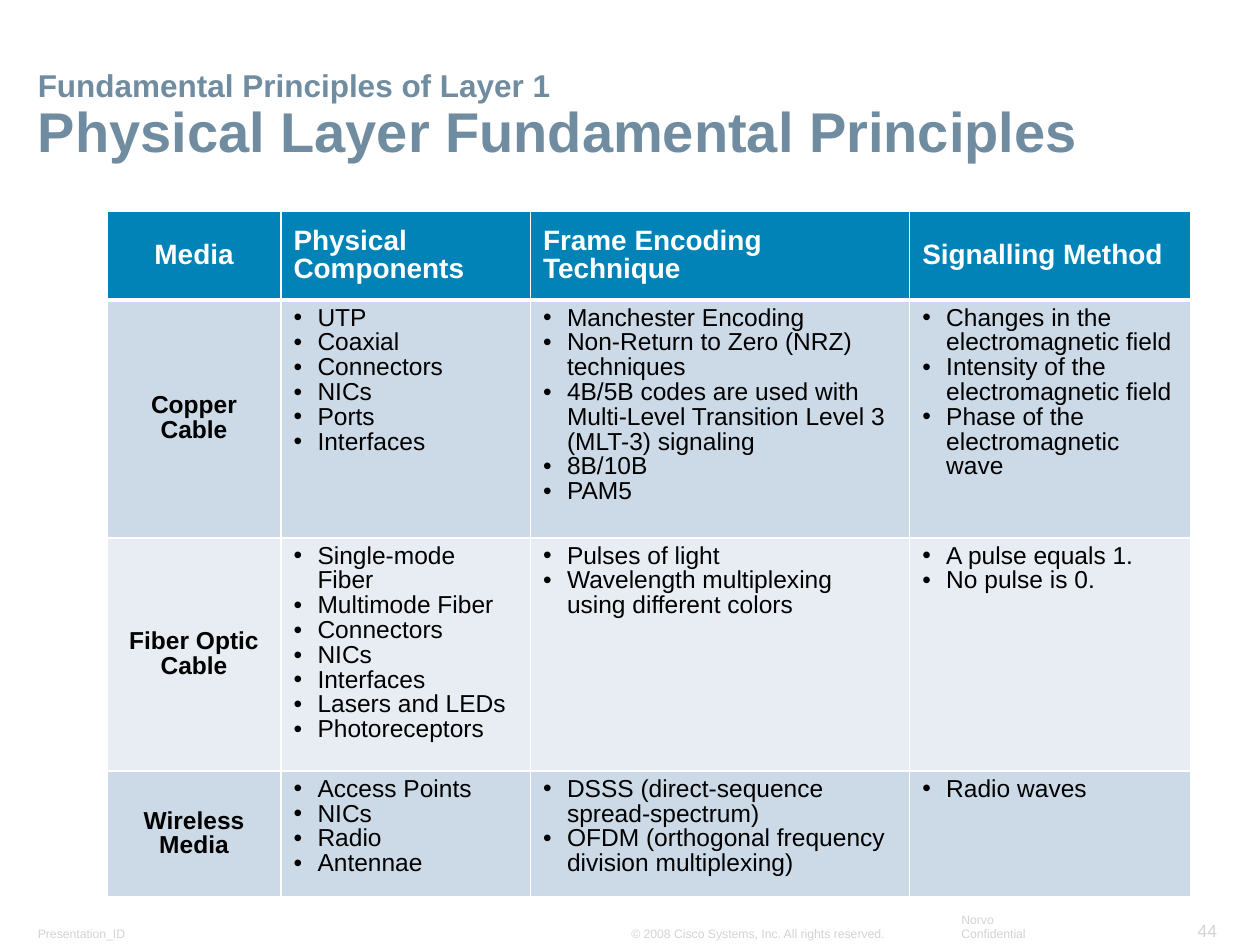
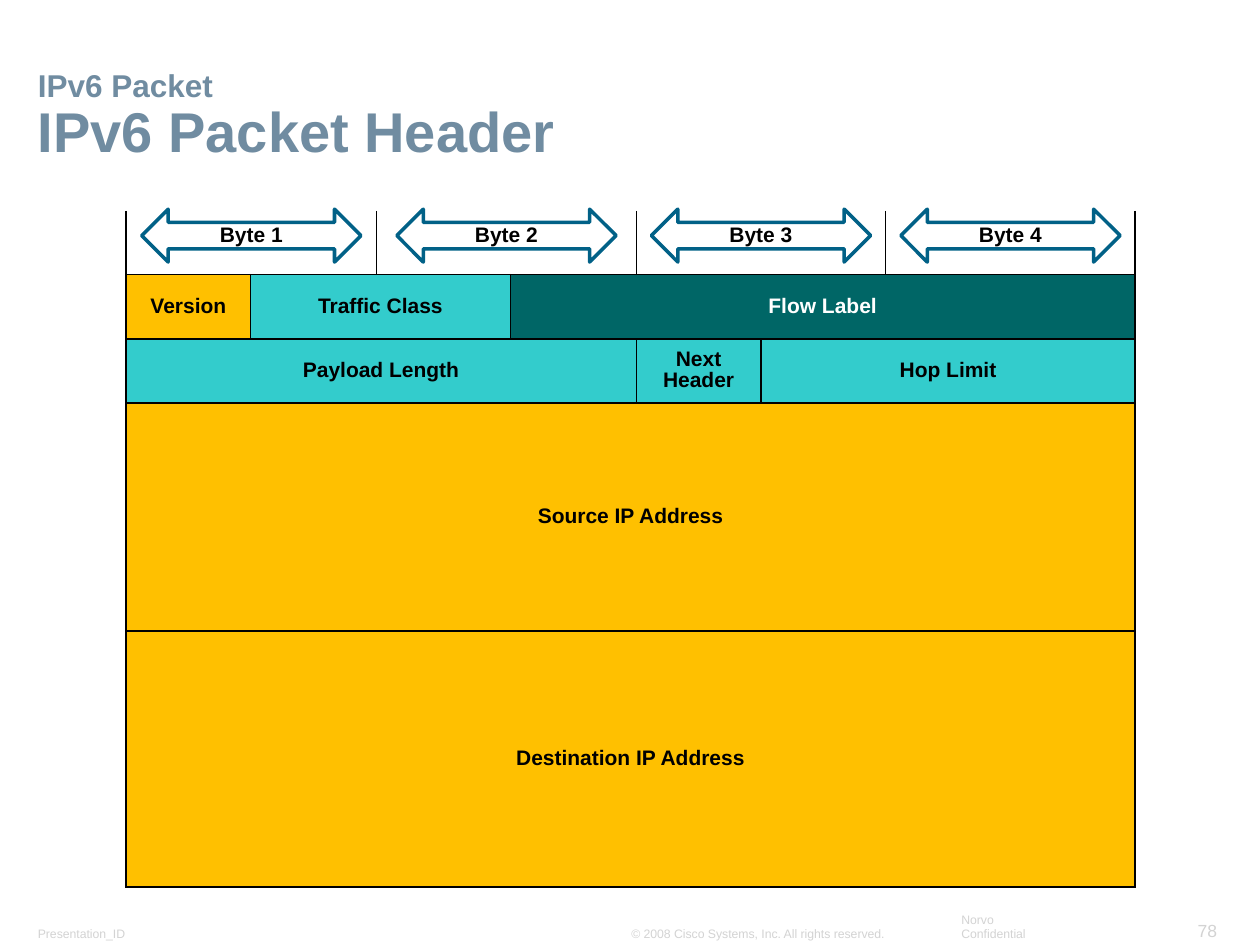
from lxml import etree
from pptx import Presentation
from pptx.dml.color import RGBColor
from pptx.enum import shapes, text
from pptx.oxml.ns import qn
from pptx.util import Inches, Pt

FONT = "Arial"
COLORS = {
    "title": "708CA1", "footer": "D3D3D3", "black": "000000", "white": "FFFFFF",
    "header": "0183B7", "band": "CCD9E6", "light band": "E7EDF3",
    "address": "FFC000", "field": "33CCCC", "flow": "006666", "arrow": "016187",
}
LEFT, CENTER, RIGHT = text.PP_ALIGN.LEFT, text.PP_ALIGN.CENTER, text.PP_ALIGN.RIGHT
MIDDLE, BOTTOM = text.MSO_ANCHOR.MIDDLE, text.MSO_ANCHOR.BOTTOM

# text, box (left, top, width, height), alignment, size
FOOTERS = [
    ("Presentation_ID", (0.21, 7.3, 1.05, 0.21), LEFT, 7),
    ("© 2008 Cisco Systems, Inc. All rights reserved.", (4.92, 7.3, 2.21, 0.21), LEFT, 7),
    ("Norvo Confidential", (7.54, 7.3, 0.96, 0.21), LEFT, 7),
]
PAGE_NUMBER_BOX = (9.4, 7.25, 0.35, 0.26)

MEDIA_COLUMNS = [1.38, 1.98, 3.01, 2.23]
MEDIA_ROWS = [0.7, 1.89, 1.85, 1]
MEDIA_HEADINGS = ["Media", "Physical Components", "Frame Encoding Technique", "Signalling Method"]
MEDIA = [
    ("Copper Cable",
     ["UTP", "Coaxial", "Connectors", "NICs", "Ports", "Interfaces"],
     ["Manchester Encoding", "Non-Return to Zero (NRZ) techniques",
      "4B/5B codes are used with Multi-Level Transition Level 3 (MLT-3) signaling",
      "8B/10B", "PAM5"],
     ["Changes in the electromagnetic field", "Intensity of the electromagnetic field",
      "Phase of the electromagnetic wave"]),
    ("Fiber Optic Cable",
     ["Single-mode Fiber", "Multimode Fiber", "Connectors", "NICs", "Interfaces",
      "Lasers and LEDs", "Photoreceptors"],
     ["Pulses of light", "Wavelength multiplexing using different colors"],
     ["A pulse equals 1.", "No pulse is 0."]),
    ("Wireless Media",
     ["Access Points", "NICs", "Radio", "Antennae"],
     ["DSSS (direct-sequence spread-spectrum)",
      "OFDM (orthogonal frequency division multiplexing)"],
     ["Radio waves"]),
]

PACKET_LEFT = 1
PACKET_COLUMNS = [0.99, 1, 1.06, 1, 0.99, 0.99, 1.98]
PACKET_ROWS = [0.5, 0.51, 0.51, 1.81, 2.03]
BYTE_SPANS = [2, 2, 2, 1]
# label, columns spanned, fill, text colour
PACKET_FIELDS = [
    [("Version", 1, "address", "black"), ("Traffic Class", 2, "field", "black"),
     ("Flow Label", 4, "flow", "white")],
    [("Payload Length", 4, "field", "black"), ("Next Header", 1, "field", "black"),
     ("Hop Limit", 2, "field", "black")],
    [("Source IP Address", 7, "address", "black")],
    [("Destination IP Address", 7, "address", "black")],
]
ARROW_TOP, ARROW_WIDTH, ARROW_HEIGHT = 1.66, 1.74, 0.42


def rgb(name):
    return RGBColor.from_string(COLORS[name])


def style_run(run, size, color, bold=False):
    run.font.name, run.font.size, run.font.bold = FONT, Pt(size), bold
    run.font.color.rgb = rgb(color)


def style_paragraph(paragraph, size, color, bold=False, align=LEFT, spacing=0.9):
    paragraph.alignment, paragraph.line_spacing = align, spacing
    for run in paragraph.runs:
        style_run(run, size, color, bold)


def set_insets(frame):
    frame.margin_left = frame.margin_right = Inches(0.09)
    frame.margin_top = frame.margin_bottom = Inches(0.04)


def add_footer(slide, words, box, align, size):
    frame = slide.shapes.add_textbox(*map(Inches, box)).text_frame
    set_insets(frame)
    frame.word_wrap, frame.vertical_anchor = False, BOTTOM
    frame.text = words
    style_paragraph(frame.paragraphs[0], size, "footer", align=align, spacing=1)


def start_slide(presentation, topic, title, number):
    """Add a title-only slide with its two-line title and its footers."""
    slide = presentation.slides.add_slide(presentation.slide_layouts[5])
    for footer in FOOTERS + [(number, PAGE_NUMBER_BOX, RIGHT, 10)]:
        add_footer(slide, *footer)
    shape = slide.shapes.title
    shape.left, shape.top, shape.width, shape.height = map(Inches, (0.21, 0.43, 9.59, 0.92))
    frame = shape.text_frame
    set_insets(frame)
    frame.auto_size, frame.vertical_anchor = text.MSO_AUTO_SIZE.NONE, BOTTOM
    frame.text = f"{topic}\v{title}"
    paragraph = frame.paragraphs[0]
    style_paragraph(paragraph, 18, "title", bold=True)
    paragraph.runs[1].font.size = Pt(32)
    line_break = paragraph._p.find(qn("a:br"))
    etree.SubElement(line_break, qn("a:rPr"), sz="1800")
    return slide


def add_table(slide, left, top, columns, rows):
    table = slide.shapes.add_table(
        len(rows), len(columns), *map(Inches, (left, top, sum(columns), sum(rows)))).table
    table.first_row = table.horz_banding = False
    for column, width in zip(table.columns, columns):
        column.width = Inches(width)
    for row, height in zip(table.rows, rows):
        row.height = Inches(height)
    return table


def set_borders(cell, color, widths):
    """Draw cell borders; widths maps L, R, T, B to points."""
    properties = cell._tc.get_or_add_tcPr()
    for position, (side, width) in enumerate(widths.items()):
        line = etree.Element(qn(f"a:ln{side}"), w=str(Pt(width)))
        fill = etree.SubElement(line, qn("a:solidFill"))
        etree.SubElement(fill, qn("a:srgbClr"), val=COLORS[color])
        properties.insert(position, line)


def fill_cell(cell, words, fill, size, color, align=CENTER):
    cell.fill.solid()
    cell.fill.fore_color.rgb = rgb(fill)
    cell.vertical_anchor = MIDDLE
    cell.text = words
    style_paragraph(cell.text_frame.paragraphs[0], size, color, True, align)


def fill_bullets(cell, items, fill):
    cell.fill.solid()
    cell.fill.fore_color.rgb = rgb(fill)
    cell.text = "\n".join(items)
    for paragraph in cell.text_frame.paragraphs:
        properties = paragraph._p.get_or_add_pPr()
        properties.set("marL", str(Inches(0.19)))
        properties.set("indent", str(-Inches(0.19)))
        etree.SubElement(properties, qn("a:buFont"), typeface=FONT)
        etree.SubElement(properties, qn("a:buChar"), char="•")
        style_paragraph(paragraph, 14, "black")


def add_media_table(slide):
    table = add_table(slide, 0.85, 1.68, MEDIA_COLUMNS, MEDIA_ROWS)
    for column, heading in enumerate(MEDIA_HEADINGS):
        cell = table.cell(0, column)
        fill_cell(cell, heading, "header", 16, "white", LEFT if column else CENTER)
        set_borders(cell, "white", {"L": 1, "R": 1, "T": 1, "B": 3})
    for row, (medium, *lists) in enumerate(MEDIA, 1):
        fill = "band" if row % 2 else "light band"
        fill_cell(table.cell(row, 0), medium, fill, 14, "black")
        for column, items in enumerate(lists, 1):
            fill_bullets(table.cell(row, column), items, fill)
        for column in range(len(MEDIA_COLUMNS)):
            top = 3 if row == 1 else 1
            set_borders(table.cell(row, column), "white", {"L": 1, "R": 1, "T": top, "B": 1})


def merge_span(table, row, column, span):
    """Join span cells of a row, border each outer edge and return the joined cell."""
    cell = table.cell(row, column)
    if span > 1:
        cell.merge(table.cell(row, column + span - 1))
    sides = {"L": 1, "R": 1, "T": 1, "B": 1}
    if row == 0:
        del sides["T"]
    for offset in range(span):
        set_borders(table.cell(row, column + offset), "black", sides)
    return cell


def add_byte_arrow(slide, label, center):
    arrow = slide.shapes.add_shape(
        shapes.MSO_SHAPE.LEFT_RIGHT_ARROW,
        *map(Inches, (center - ARROW_WIDTH / 2, ARROW_TOP, ARROW_WIDTH, ARROW_HEIGHT)))
    arrow.shadow.inherit = False
    arrow.fill.background()
    arrow.line.color.rgb, arrow.line.width = rgb("arrow"), Pt(2)
    frame = arrow.text_frame
    frame.vertical_anchor = MIDDLE
    frame.margin_top = frame.margin_bottom = 0
    frame.text = label
    style_paragraph(frame.paragraphs[0], 12, "black", True, CENTER)


def add_packet_header(slide):
    table = add_table(slide, PACKET_LEFT, 1.68, PACKET_COLUMNS, PACKET_ROWS)
    for row, fields in enumerate(PACKET_FIELDS, 1):
        column = 0
        for label, span, fill, color in fields:
            fill_cell(merge_span(table, row, column, span), label, fill, 12, color)
            column += span
    column = 0
    for number, span in enumerate(BYTE_SPANS, 1):
        merge_span(table, 0, column, span).fill.background()
        left = PACKET_LEFT + sum(PACKET_COLUMNS[:column])
        width = sum(PACKET_COLUMNS[column:column + span])
        add_byte_arrow(slide, f"Byte {number}", left + width / 2)
        column += span


def main():
    presentation = Presentation()
    presentation.slide_width, presentation.slide_height = Inches(10), Inches(7.5)
    add_media_table(start_slide(presentation, "Fundamental Principles of Layer 1",
                                "Physical Layer Fundamental Principles", "44"))
    add_packet_header(start_slide(presentation, "IPv6 Packet", "IPv6 Packet Header", "78"))
    presentation.save("out.pptx")


if __name__ == "__main__":
    main()
